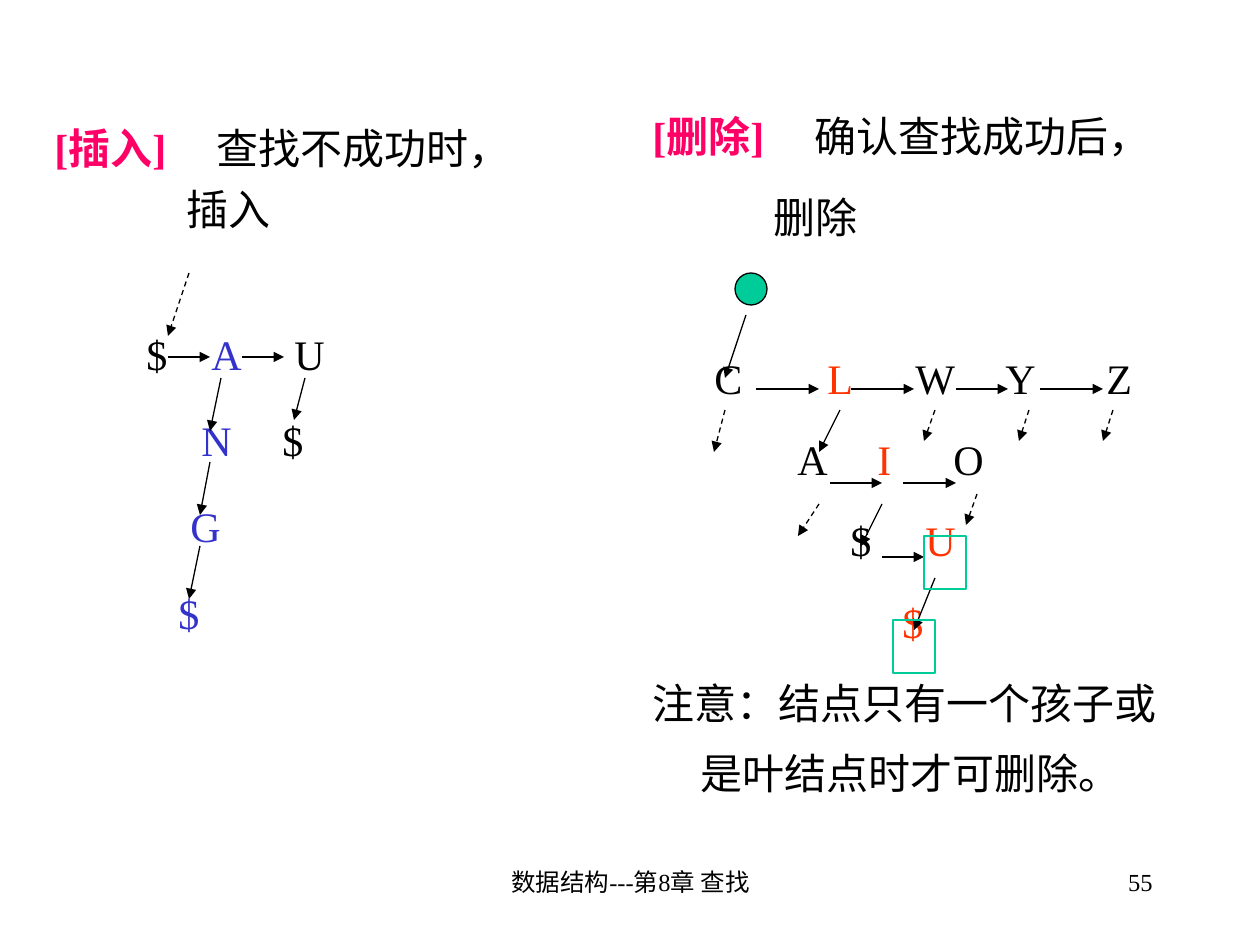
from lxml import etree
from pptx import Presentation
from pptx.dml.color import RGBColor as Rgb
from pptx.enum.dml import MSO_LINE as Dash
from pptx.enum.shapes import MSO_CONNECTOR as Conn, MSO_SHAPE as Kind
from pptx.enum.text import PP_ALIGN as Align
from pptx.oxml.ns import qn
from pptx.util import Pt

SCALE = 914400 / 126  # EMU in one px
HEX = {"ink": "000000", "pink": "FF0066", "blue": "3333CC",
       "red": "FF3300", "green": "00CC99"}


def emu(px):
    return round(px * SCALE)


def color(name):
    return Rgb.from_string(HEX[name])


def write(para, text, size=24, tint="ink", bold=False):
    run = para.add_run()
    run.text = text
    font = run.font
    font.name, font.size, font.bold = "Times New Roman", Pt(size), bold
    font.color.rgb = color(tint)


class Page:
    def __init__(self, deck):
        self.shapes = deck.slides.add_slide(deck.slide_layouts[6]).shapes

    def frame(self, *box):
        frame = self.shapes.add_textbox(*map(emu, box)).text_frame
        frame.word_wrap = True
        return frame

    def label(self, box, text, align):
        para = self.frame(*box).paragraphs[0]
        para.alignment = align
        write(para, text, size=14)

    def body(self, box, rows):
        """Each row is (spacing, space before, cells); a cell is
        (tab stop, text, format), where stop 0 is the left edge."""
        frame = self.frame(*box)
        for i, (space, before, cells) in enumerate(rows):
            para = frame.add_paragraph() if i else frame.paragraphs[0]
            props = para._p.get_or_add_pPr()
            stops = [cell[0] for cell in cells if cell[0]]
            if stops:
                tabs = etree.SubElement(props, qn("a:tabLst"))
                for stop in stops:
                    etree.SubElement(tabs, qn("a:tab"), pos=str(emu(stop)), algn="l")
            else:
                props.set("marL", str(emu(48)))
                props.set("indent", str(-emu(48)))
            para.line_spacing = space
            para.space_before = Pt(before)
            for stop, text, style in cells:
                write(para, ("\t" if stop else "") + text, **style)

    def arrow(self, x1, y1, x2, y2, dash=False):
        line = self.shapes.add_connector(Conn.STRAIGHT, *map(emu, (x1, y1, x2, y2)))
        line.line.color.rgb = color("ink")
        line.line.width = Pt(0.75)
        if dash:
            line.line.dash_style = Dash.DASH
        etree.SubElement(line.line._get_or_add_ln(), qn("a:tailEnd"), type="triangle")
        etree.SubElement(line._element.spPr, qn("a:effectLst"))

    def shape(self, kind, box, edge, fill=None):
        shape = self.shapes.add_shape(kind, *map(emu, box))
        shape.shadow.inherit = False
        if fill:
            shape.fill.solid()
            shape.fill.fore_color.rgb = color(fill)
        else:
            shape.fill.background()
        shape.line.color.rgb = color(edge)
        shape.line.width = Pt(0.75)


INK, BLUE, RED = {}, {"tint": "blue"}, {"tint": "red"}
HEAD = {"tint": "pink", "bold": True}

# Rows of both text columns
INSERT = [
    (1.0, 0, [(0, "[插入]", HEAD), (162, "查找不成功时，", INK)]),
    (1.0, 6, [(132, "插入", INK)]),
    (1.5, 40, [(92, "$", INK), (157, "A", BLUE), (240, "U", INK)]),
    (1.5, 6, [(147, "N", BLUE), (228, "$", INK)]),
    (1.5, 6, [(136, "G", BLUE)]),
    (1.5, 6, [(124, "$", BLUE)]),
]
DELETE = [
    (1.4, 0, [(0, "[删除]", HEAD), (162, "确认查找成功后，", INK)]),
    (1.4, 6, [(121, "删除", INK)]),
    (1.4, 52, [(62, "C", INK), (175, "L", RED), (263, "W", INK),
               (353, "Y", INK), (454, "Z", INK)]),
    (1.4, 6, [(145, "A", INK), (225, "I", RED), (301, "O", INK)]),
    (1.4, 6, [(198, "$", INK), (273, "U", RED)]),
    (1.4, 6, [(250, "$", RED)]),
    (1.4, 6, [(0, "注意：结点只有一个孩子或是叶结点时才可删除。", INK)]),
]

# Arrow ends: x1, y1, x2, y2
SOLID = [
    (168, 357, 210, 357), (242, 357, 284, 357), (305, 378, 294, 420),
    (221, 378, 210, 431), (210, 462, 200, 515), (200, 546, 189, 599),
    (746, 315, 725, 378), (756, 389, 819, 389), (851, 389, 914, 389),
    (956, 389, 1008, 389), (1040, 389, 1103, 389), (840, 410, 819, 452),
    (830, 483, 882, 483), (903, 483, 956, 483), (882, 504, 861, 546),
    (882, 557, 924, 557), (935, 578, 914, 630),
]
DASHED = [
    (189, 273, 168, 336), (725, 410, 714, 452), (935, 410, 924, 441),
    (1029, 410, 1019, 441), (1113, 410, 1103, 441), (819, 504, 798, 536),
    (977, 494, 966, 525),
]


def main():
    deck = Presentation()
    deck.slide_width, deck.slide_height = emu(1260), emu(945)
    page = Page(deck)

    # Footer
    page.label((431, 861, 399, 63), "数据结构---第8章 查找", Align.CENTER)
    page.label((903, 861, 262, 63), "55", Align.RIGHT)

    # Insertion and deletion
    page.body((42, 116, 577, 724), INSERT)
    page.body((640, 84, 557, 756), DELETE)

    # Root and links of the trees
    page.shape(Kind.OVAL, (735, 273, 32, 32), "ink", fill="green")
    for ends in SOLID:
        page.arrow(*ends)
    for ends in DASHED:
        page.arrow(*ends, dash=True)

    # Nodes to delete
    for x, y in ((893, 620), (924, 536)):
        page.shape(Kind.RECTANGLE, (x, y, 42, 53), "green")

    deck.save("out.pptx")


if __name__ == "__main__":
    main()
